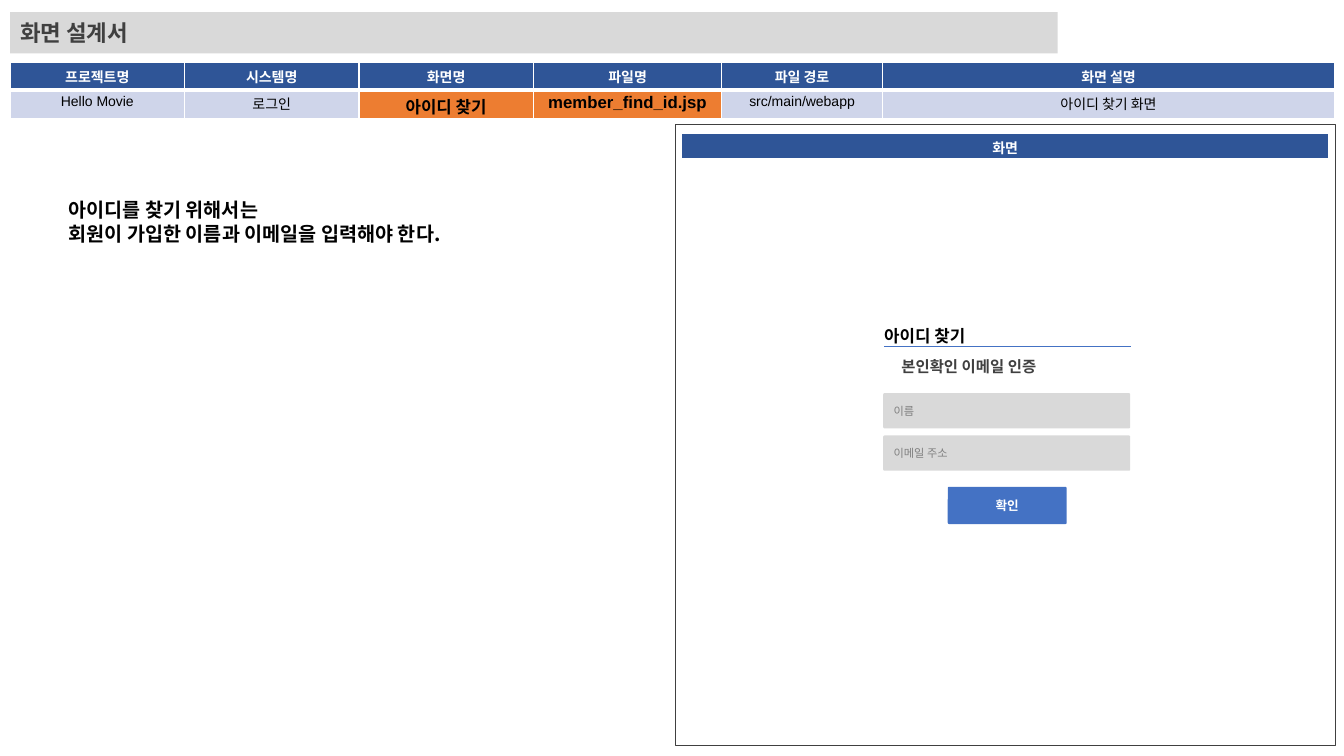
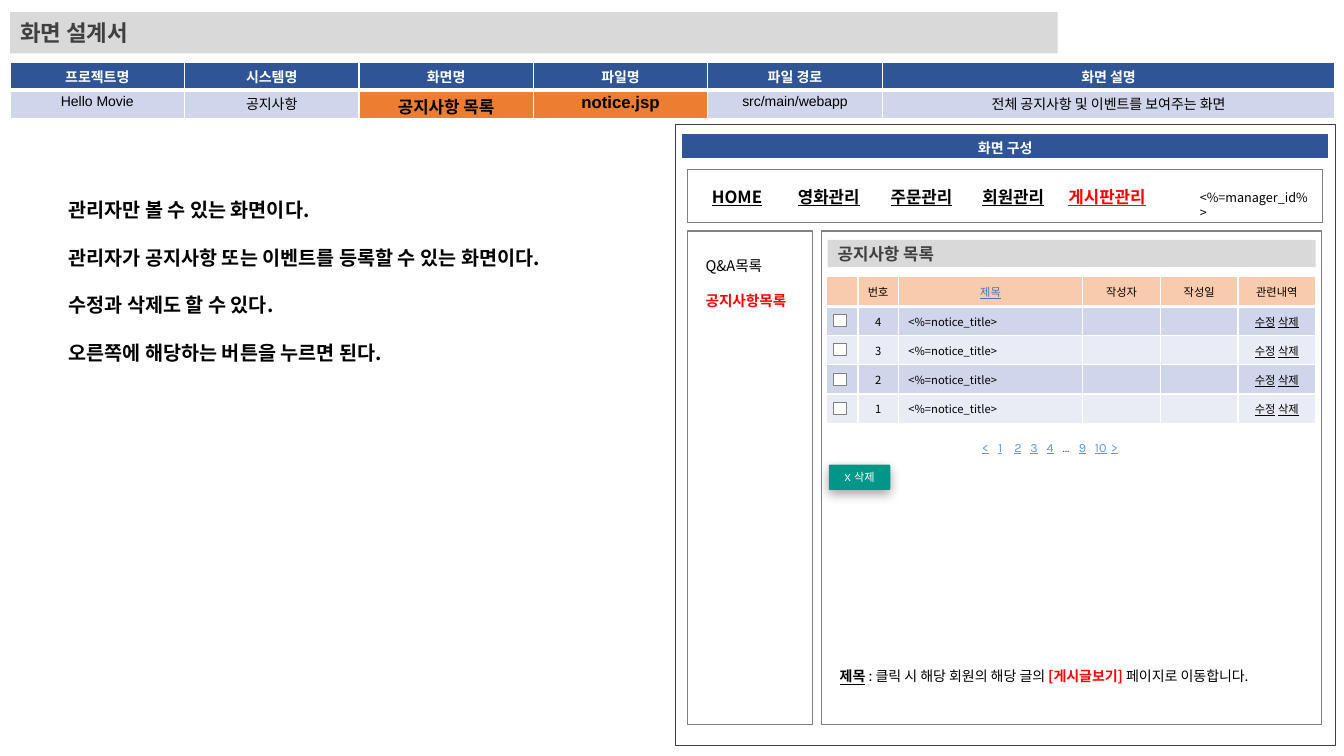
import pptx
import pptx.chart.data
import pptx.dml.color
import pptx.enum.shapes
import pptx.enum.text
import pptx.oxml.ns
import pptx.util
from lxml import etree

EMU_PER_PX = 9144
KOREAN = "Noto Sans CJK KR"
WHITE, BLACK, RED = "FFFFFF", "000000", "FF0000"
DARK, MID, LIGHT = "404040", "808080", "D9D9D9"
NAVY, BLUE, ORANGE, PEACH = "2F5597", "4472C4", "ED7D31", "F8CBAD"
BAND, BAND_LIGHT, TEAL, SKY = "CFD5EA", "E9EBF5", "009688", "5B9BD5"
SHAPES = pptx.enum.shapes.MSO_SHAPE
ANCHOR = pptx.enum.text.MSO_ANCHOR
ALIGN = pptx.enum.text.PP_ALIGN
NO_MARGINS = (0, 0, 0, 0)
INFO_HEADINGS = ["프로젝트명", "시스템명", "화면명", "파일명", "파일 경로", "화면 설명"]


def px(length):
    return pptx.util.Emu(length * EMU_PER_PX)


def rgb(value):
    return pptx.dml.color.RGBColor.from_string(value)


def add_xml(parent, tag, **attributes):
    return etree.SubElement(parent, pptx.oxml.ns.qn(tag), **attributes)


def set_margins(target, margins):
    """Set left, top, right and bottom margins of a text frame or cell."""
    (target.margin_left, target.margin_top,
     target.margin_right, target.margin_bottom) = map(px, margins)


def format_span(span, size=10, color=BLACK, bold=False, underline=False, font=KOREAN):
    span.font.size = pptx.util.Pt(size)
    span.font.bold = bold
    span.font.underline = underline
    span.font.color.rgb = rgb(color)
    span.font.name = font
    add_xml(span.font._element, "a:ea", typeface=KOREAN)


def write_text(frame, paragraphs, align=ALIGN.LEFT, leading=None, gap=0, **style):
    """Fill a frame; a paragraph is a string or a list of (text, style changes)."""
    if isinstance(paragraphs, str):
        paragraphs = [paragraphs]
    for index, content in enumerate(paragraphs):
        para = frame.add_paragraph() if index else frame.paragraphs[0]
        para.alignment = align
        para.space_before = pptx.util.Pt(gap if index else 0)
        if leading:
            para.line_spacing = pptx.util.Pt(leading)
        for text, changes in [(content, {})] if isinstance(content, str) else content:
            span = para.add_run()
            span.text = text
            format_span(span, **{**style, **changes})


def add_label(page, area, paragraphs, margins=(10, 5, 10, 5), anchor=ANCHOR.TOP, **style):
    box = page.shapes.add_textbox(*map(px, area))
    box.text_frame.word_wrap = True
    box.text_frame.vertical_anchor = anchor
    set_margins(box.text_frame, margins)
    write_text(box.text_frame, paragraphs, **style)
    return box


def add_box(page, area, fill=None, line=None, width=1, corner=None, text=None, **style):
    kind = SHAPES.ROUNDED_RECTANGLE if corner else SHAPES.RECTANGLE
    box = page.shapes.add_shape(kind, *map(px, area))
    box.shadow.inherit = False
    if corner:
        box.adjustments[0] = corner
    if fill:
        box.fill.solid()
        box.fill.fore_color.rgb = rgb(fill)
    else:
        box.fill.background()
    if line:
        box.line.color.rgb = rgb(line)
        box.line.width = pptx.util.Pt(width)
    else:
        box.line.fill.background()
    if text:
        box.text_frame.vertical_anchor = ANCHOR.MIDDLE
        write_text(box.text_frame, text, **style)
    return box


def add_line(page, start, end, color):
    line = page.shapes.add_connector(
        pptx.enum.shapes.MSO_CONNECTOR.STRAIGHT, *map(px, start + end))
    line.line.color.rgb = rgb(color)
    line.line.width = pptx.util.Pt(1)
    add_xml(line._element.spPr, "a:effectLst")


def add_soft_shadow(box):
    effects = box._element.spPr.find(pptx.oxml.ns.qn("a:effectLst"))
    shadow = add_xml(effects, "a:outerShdw", blurRad="101600", dist="38100",
                     dir="5400000", algn="t", rotWithShape="0")
    color = add_xml(shadow, "a:srgbClr", val=BLACK)
    add_xml(color, "a:alpha", val="35000")


def add_table(page, left, top, widths, heights):
    frame = page.shapes.add_table(
        len(heights), len(widths), px(left), px(top), px(sum(widths)), px(sum(heights)))
    table = frame.table
    table.first_row = table.horz_banding = False
    for column, width in zip(table.columns, widths):
        column.width = px(width)
    for row, height in zip(table.rows, heights):
        row.height = px(height)
    return table


def fill_cell(cell, text, fill, bottom=1, margins=(10, 4, 10, 0),
              anchor=ANCHOR.TOP, align=ALIGN.CENTER, **style):
    """Format a cell with white borders; bottom is the lower border width."""
    cell.fill.solid()
    cell.fill.fore_color.rgb = rgb(fill)
    cell.vertical_anchor = anchor
    set_margins(cell, margins)
    if text:
        write_text(cell.text_frame, text, align=align, **style)
    else:
        add_xml(cell.text_frame.paragraphs[0]._p, "a:endParaRPr", sz="800")
    properties = cell._tc.tcPr
    for index, side in enumerate("LRTB"):
        width = pptx.util.Pt(bottom if side == "B" else 1)
        border = add_xml(properties, f"a:ln{side}", w=str(width))
        add_xml(add_xml(border, "a:solidFill"), "a:srgbClr", val=WHITE)
        properties.insert(index, border)


def add_info_table(page, widths, values):
    table = add_table(page, 10, 62, widths, [27, 29])
    for column, (heading, value) in enumerate(zip(INFO_HEADINGS, values)):
        fill_cell(table.cell(0, column), heading, NAVY, bottom=3,
                  color=WHITE, bold=True, font="Arial")
        key = column in (2, 3)
        fill_cell(table.cell(1, column), value, ORANGE if key else BAND,
                  size=12 if key else 10, bold=key, font="Arial")


def add_design_page(deck, widths, values, description, gap, screen_title):
    """Add a page with title band, info table, description and screen frame."""
    page = deck.slides.add_slide(deck.slide_layouts[1])
    title, body = page.shapes.title, page.placeholders[1]
    for holder, area in ((title, (10, 12, 1039, 41)), (body, (58, 191, 517, 195))):
        holder.left, holder.top, holder.width, holder.height = map(px, area)
        holder.text_frame.auto_size = pptx.enum.text.MSO_AUTO_SIZE.NONE
    title.fill.solid()
    title.fill.fore_color.rgb = rgb(LIGHT)
    title.text_frame.vertical_anchor = ANCHOR.MIDDLE
    write_text(title.text_frame, "화면 설계서", size=16, color=DARK, bold=True)
    write_text(body.text_frame, description, leading=17, gap=gap, size=14, bold=True)
    for para in body.text_frame.paragraphs:
        properties = para._p.get_or_add_pPr()
        properties.set("marL", "0")
        properties.set("indent", "0")
        add_xml(properties, "a:buNone")
    add_info_table(page, widths, values)
    add_box(page, (670, 123, 654, 617), line=DARK, width=0.5)
    bar = add_table(page, 676, 132, [642], [27])
    fill_cell(bar.cell(0, 0), screen_title, NAVY, bottom=3, color=WHITE, bold=True)
    return page


def add_find_id_form(page):
    add_line(page, (877, 344), (1122, 344), BLUE)
    add_label(page, (877, 323, 110, 20), "아이디 찾기", NO_MARGINS, size=12, bold=True)
    add_label(page, (894, 354, 180, 19), "본인확인 이메일 인증", NO_MARGINS,
              size=11, color=DARK, bold=True)
    for index, hint in enumerate(["이름", "이메일 주소"]):
        add_box(page, (876, 390 + 42 * index, 245, 35), fill=LIGHT, corner=0.04,
                text=hint, size=8, color=MID)
    add_box(page, (940, 483, 118, 37), fill=BLUE, corner=0.04, text="확인",
            align=ALIGN.CENTER, size=9, color=WHITE, bold=True, font="Arial")


def add_menus(page):
    for area in ((682, 168, 630, 53), (682, 229, 124, 490), (815, 229, 496, 490)):
        add_box(page, area, line=MID)
    menu = [("HOME", 731), ("영화관리", 822), ("주문관리", 914),
            ("회원관리", 1005), ("게시판관리", 1098)]
    for name, center in menu:
        add_label(page, (center - 45, 185, 90, 20), name, NO_MARGINS, ANCHOR.MIDDLE,
                  align=ALIGN.CENTER, size=12, bold=True, underline=True,
                  color=RED if name == "게시판관리" else BLACK)
    add_label(page, (1190, 188, 110, 30), "<%=manager_id%>", NO_MARGINS,
              leading=11, size=9)
    add_label(page, (690, 249, 115, 98),
              ["Q&A목록", [("공지사항목록", {"color": RED, "bold": True})]],
              leading=13, gap=12, size=10.5)


def add_notice_table(page):
    top, heading_height, row_height = 274, 30, 29
    table = add_table(page, 820, top, [31, 40, 183, 77, 77, 77],
                      [heading_height] + [row_height] * 4)
    headings = ["", "번호", "제목", "작성자", "작성일", "관련내역"]
    for column, heading in enumerate(headings):
        link = heading == "제목"
        fill_cell(table.cell(0, column), heading, PEACH, bottom=3, margins=NO_MARGINS,
                  anchor=ANCHOR.MIDDLE, size=8, underline=link,
                  color=BLUE if link else BLACK)
    actions = [[("수정", {"underline": True}), (" ", {}), ("삭제", {"underline": True})]]
    for row in range(1, 5):
        values = ["", str(5 - row), "<%=notice_title>", "", "", actions]
        for column, value in enumerate(values):
            fill_cell(table.cell(row, column), value, BAND if row % 2 else BAND_LIGHT,
                      margins=(10, 0, 10, 0), anchor=ANCHOR.MIDDLE, size=8,
                      align=ALIGN.LEFT if column == 2 else ALIGN.CENTER)
        check_top = top + heading_height + row_height * (row - 1) + 8
        add_box(page, (827, check_top, 12, 12), fill=WHITE, line=MID, width=0.5)


def add_pager(page):
    spans = []
    for mark in ["<", "1", "2", "3", "4", "…", "9", "10", ">"]:
        if spans:
            spans.append(("\t", {}))
        link = mark != "…"
        spans.append((mark, {"underline": link, "color": SKY if link else "5F5F5F"}))
    pager = add_label(page, (966, 432, 185, 23), [spans], (8, 4, 8, 4),
                      size=9, font="Karla")
    properties = pager.text_frame.paragraphs[0]._p.get_or_add_pPr()
    stops = add_xml(properties, "a:tabLst")
    for index in range(1, 9):
        add_xml(stops, "a:tab", pos=str(px(16 * index)), algn="l")


def add_notice_list(page):
    add_box(page, (821, 238, 484, 27), fill=LIGHT, text="공지사항 목록",
            size=12, color=DARK, bold=True)
    add_notice_table(page)
    add_pager(page)
    button = add_box(page, (822, 461, 61, 25), fill=TEAL, corner=0.05, text="X 삭제",
                     align=ALIGN.CENTER, size=8, color=WHITE, font="Karla")
    set_margins(button.text_frame, (8, 5, 8, 5))
    add_soft_shadow(button)
    note = [("제목", {"bold": True, "underline": True}),
            (" : 클릭 시 해당 회원의 해당 글의 ", {}),
            ("[게시글보기] ", {"color": RED, "bold": True}),
            ("페이지로 이동합니다.", {})]
    add_label(page, (823, 650, 478, 42), [note], anchor=ANCHOR.MIDDLE, size=10)


def main():
    deck = pptx.Presentation()
    deck.slide_width, deck.slide_height = px(1333), px(750)
    find_id = add_design_page(
        deck, [173, 173, 173, 187, 159, 449],
        ["Hello Movie", "로그인", "아이디 찾기", "member_find_id.jsp",
         "src/main/webapp", "아이디 찾기 화면"],
        ["아이디를 찾기 위해서는", "회원이 가입한 이름과 이메일을 입력해야 한다."],
        0, "화면")
    add_find_id_form(find_id)
    notices = add_design_page(
        deck, [173] * 5 + [449],
        ["Hello Movie", "공지사항", "공지사항 목록", "notice.jsp",
         "src/main/webapp", "전체 공지사항 및 이벤트를 보여주는 화면"],
        ["관리자만 볼 수 있는 화면이다.",
         "관리자가 공지사항 또는 이벤트를 등록할 수 있는 화면이다.",
         "수정과 삭제도 할 수 있다.", "오른쪽에 해당하는 버튼을 누르면 된다."],
        17, "화면 구성")
    add_menus(notices)
    add_notice_list(notices)
    deck.save("out.pptx")


if __name__ == "__main__":
    main()
